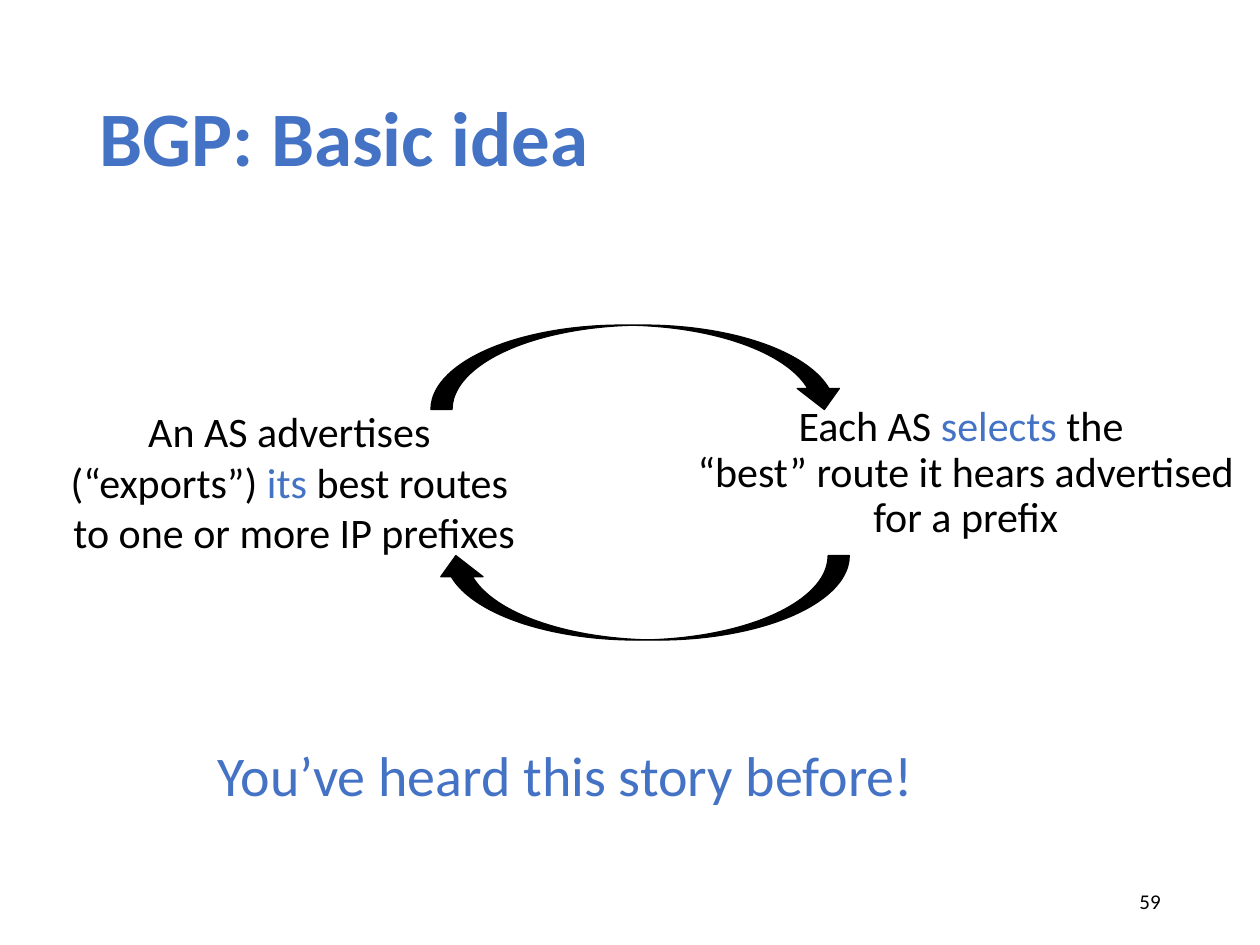
from dataclasses import dataclass

from pptx import Presentation
from pptx.dml.color import RGBColor
from pptx.enum.shapes import MSO_SHAPE
from pptx.enum.text import MSO_ANCHOR, MSO_AUTO_SIZE, PP_ALIGN
from pptx.util import Pt

EMU_PER_PX = 9144  # 100 px to the inch


def px(n):
    return n * EMU_PER_PX


@dataclass(frozen=True)
class Theme:
    font: str = "Calibri"
    ink: RGBColor = RGBColor(0x00, 0x00, 0x00)
    accent: RGBColor = RGBColor(0x44, 0x72, 0xC4)
    title: int = 44
    callout: int = 32
    body: int = 24
    footer: int = 12
    outline: float = 0.75


class SlideBuilder:
    def __init__(self, prs, theme):
        self.theme = theme
        self.s = prs.slides.add_slide(prs.slide_layouts[6])

    def text(self, box, lines, size, color=None, bold=False, align=PP_ALIGN.LEFT,
             anchor=MSO_ANCHOR.TOP, spacing=None, wrap=True):
        """Add one paragraph; each line is a list of (text, color or None) runs."""
        sp = self.s.shapes.add_textbox(*map(px, box))
        tf = sp.text_frame
        tf.word_wrap = wrap
        tf.vertical_anchor = anchor
        if not wrap:
            tf.auto_size = MSO_AUTO_SIZE.SHAPE_TO_FIT_TEXT
        p = tf.paragraphs[0]
        p.alignment = align
        p.line_spacing = spacing
        p.font.name = self.theme.font
        p.font.size = Pt(size)
        p.font.bold = bold
        p.font.color.rgb = color or self.theme.ink
        for i, line in enumerate(lines):
            if i:
                p.add_line_break()
            for words, run_color in line:
                r = p.add_run()
                r.text = words
                if run_color is not None:
                    r.font.color.rgb = run_color

    def curved_arrow(self, box, rotation):
        sp = self.s.shapes.add_shape(MSO_SHAPE.CURVED_LEFT_ARROW, *map(px, box))
        sp.rotation = rotation
        sp.shadow.inherit = False
        sp.fill.solid()
        sp.fill.fore_color.rgb = self.theme.ink
        sp.line.color.rgb = self.theme.ink
        sp.line.width = Pt(self.theme.outline)


def main():
    prs = Presentation()
    prs.slide_width, prs.slide_height = px(1000), px(750)
    t = Theme()
    b = SlideBuilder(prs, t)

    b.text((69, 40, 862, 145), [[("BGP: Basic idea", None)]], t.title, t.accent,
           bold=True, anchor=MSO_ANCHOR.MIDDLE, spacing=0.9)

    select_step = [
        [("Each AS ", None), ("selects ", t.accent), ("the ", None)],
        [("“best” route it hears advertised for a prefix", None)],
    ]
    export_step = [
        [("An AS advertises ", None)],
        [("(“exports”) ", None), ("its", t.accent), (" best routes ", None)],
        [("to one or more IP prefixes", None)],
    ]
    b.text((533, 317, 467, 142), select_step, t.body, align=PP_ALIGN.CENTER, spacing=0.9)
    b.text((25, 317, 417, 142), export_step, t.body, align=PP_ALIGN.CENTER)
    b.curved_arrow((473, 127, 67, 329), 270)
    b.curved_arrow((476, 310, 67, 329), 90)

    b.text((163, 583, 578, 64), [[("You’ve heard this story before!", None)]],
           t.callout, t.accent, wrap=False)
    b.text((706, 695, 225, 40), [[("59", None)]], t.footer,
           align=PP_ALIGN.RIGHT, anchor=MSO_ANCHOR.MIDDLE)

    prs.save("out.pptx")


if __name__ == "__main__":
    main()
